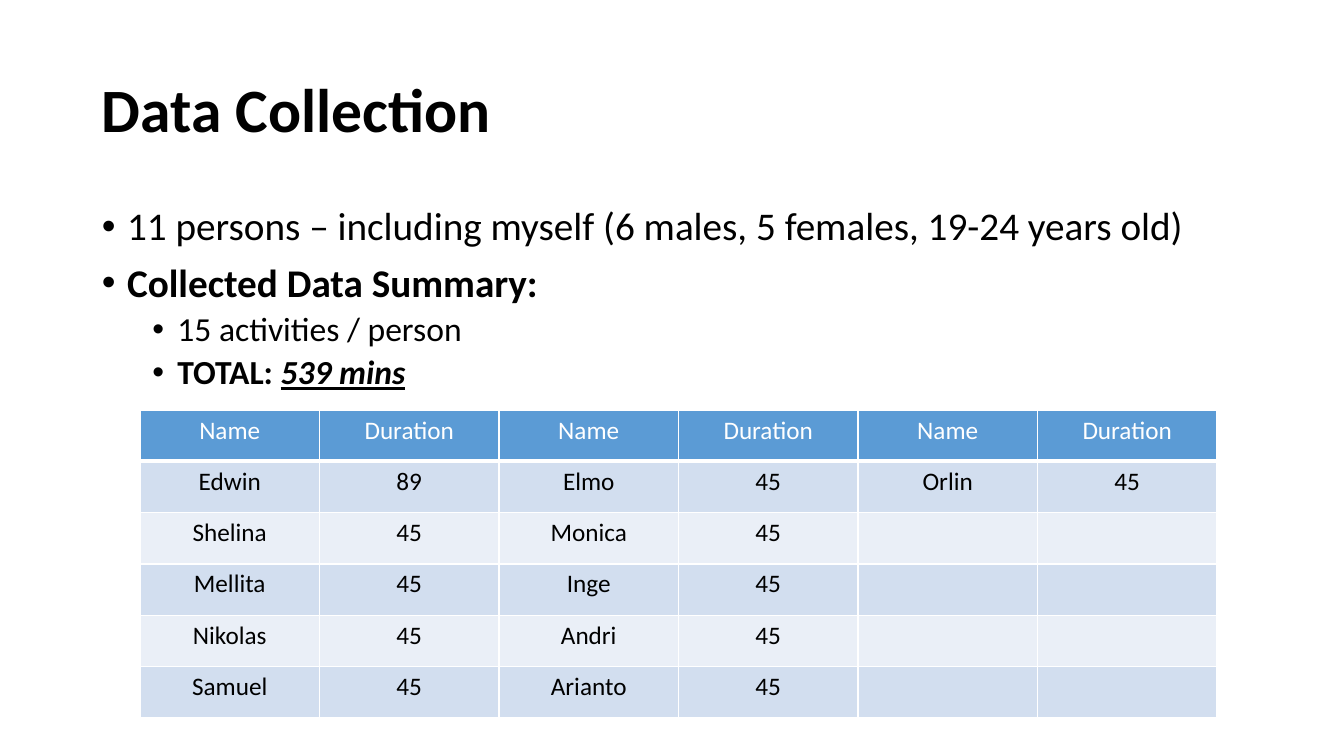
import pptx
import pptx.dml.color
import pptx.enum.text
import pptx.oxml
import pptx.oxml.ns
import pptx.util

PX = 914400 / 100.8
COLORS = {
    "text": "000000",
    "white": "FFFFFF",
    "header": "5B9BD5",
    "odd": "D2DEEF",
    "even": "EAEFF7",
}


def px(length):
    return pptx.util.Emu(round(length * PX))


def add_run(paragraph, text, size, color="text", bold=False, emphasis=False):
    run = paragraph.add_run()
    run.text = text
    run.font.name = "Calibri"
    run.font.size = pptx.util.Pt(size)
    run.font.bold = bold
    run.font.italic = emphasis
    run.font.underline = emphasis
    run.font.color.rgb = pptx.dml.color.RGBColor.from_string(COLORS[color])


deck = pptx.Presentation()
deck.slide_width = px(1344)
deck.slide_height = px(756)
slide = deck.slides.add_slide(deck.slide_layouts[6])

title = slide.shapes.add_textbox(px(92), px(40), px(1160), px(146)).text_frame
title.word_wrap = True
title.vertical_anchor = pptx.enum.text.MSO_ANCHOR.MIDDLE
title.paragraphs[0].line_spacing = 0.9
add_run(title.paragraphs[0], "Data Collection", 44, bold=True)

summary = slide.shapes.add_textbox(px(92), px(202), px(1160), px(554)).text_frame
summary.word_wrap = True
points = [
    (0, [("11 persons – including myself (6 males, 5 females, 19-24 years old)", False, False)]),
    (0, [("Collected Data Summary:", True, False)]),
    (1, [("15 activities / person", False, False)]),
    (1, [("TOTAL: ", True, False), ("539 mins", True, True)]),
]
for index, (level, phrases) in enumerate(points):
    point = summary.add_paragraph() if index else summary.paragraphs[0]
    point.level = level
    point.line_spacing = 0.9
    point.space_before = pptx.util.Pt(5 if level else 10)
    properties = point._p.get_or_add_pPr()
    properties.set("marL", str(pptx.util.Inches(0.75 if level else 0.25)))
    properties.set("indent", str(pptx.util.Inches(-0.25)))
    properties.append(pptx.oxml.parse_xml(
        f'<a:buFont {pptx.oxml.ns.nsdecls("a")} typeface="Arial"/>'))
    properties.append(pptx.oxml.parse_xml(
        f'<a:buChar {pptx.oxml.ns.nsdecls("a")} char="•"/>'))
    for text, bold, emphasis in phrases:
        add_run(point, text, 24 if level else 28, bold=bold, emphasis=emphasis)

durations = [
    ["Name", "Duration"] * 3,
    ["Edwin", "89", "Elmo", "45", "Orlin", "45"],
    ["Shelina", "45", "Monica", "45", "", ""],
    ["Mellita", "45", "Inge", "45", "", ""],
    ["Nikolas", "45", "Andri", "45", "", ""],
    ["Samuel", "45", "Arianto", "45", "", ""],
]
table = slide.shapes.add_table(6, 6, px(140), px(410), px(1077), px(308)).table
for row, entries in enumerate(durations):
    band = "header" if row == 0 else "odd" if row % 2 else "even"
    for column, entry in enumerate(entries):
        cell = table.cell(row, column)
        for side in ("lnL", "lnR", "lnT", "lnB"):
            width = pptx.util.Pt(3 if row == 0 and side == "lnB" else 1)
            cell._tc.get_or_add_tcPr().append(pptx.oxml.parse_xml(
                f'<a:{side} {pptx.oxml.ns.nsdecls("a")} w="{width}"><a:solidFill>'
                f'<a:srgbClr val="{COLORS["white"]}"/></a:solidFill></a:{side}>'))
        cell.fill.solid()
        cell.fill.fore_color.rgb = pptx.dml.color.RGBColor.from_string(COLORS[band])
        label = cell.text_frame.paragraphs[0]
        label.alignment = pptx.enum.text.PP_ALIGN.CENTER
        if entry:
            add_run(label, entry, 18, "text" if row else "white")

deck.save("out.pptx")
